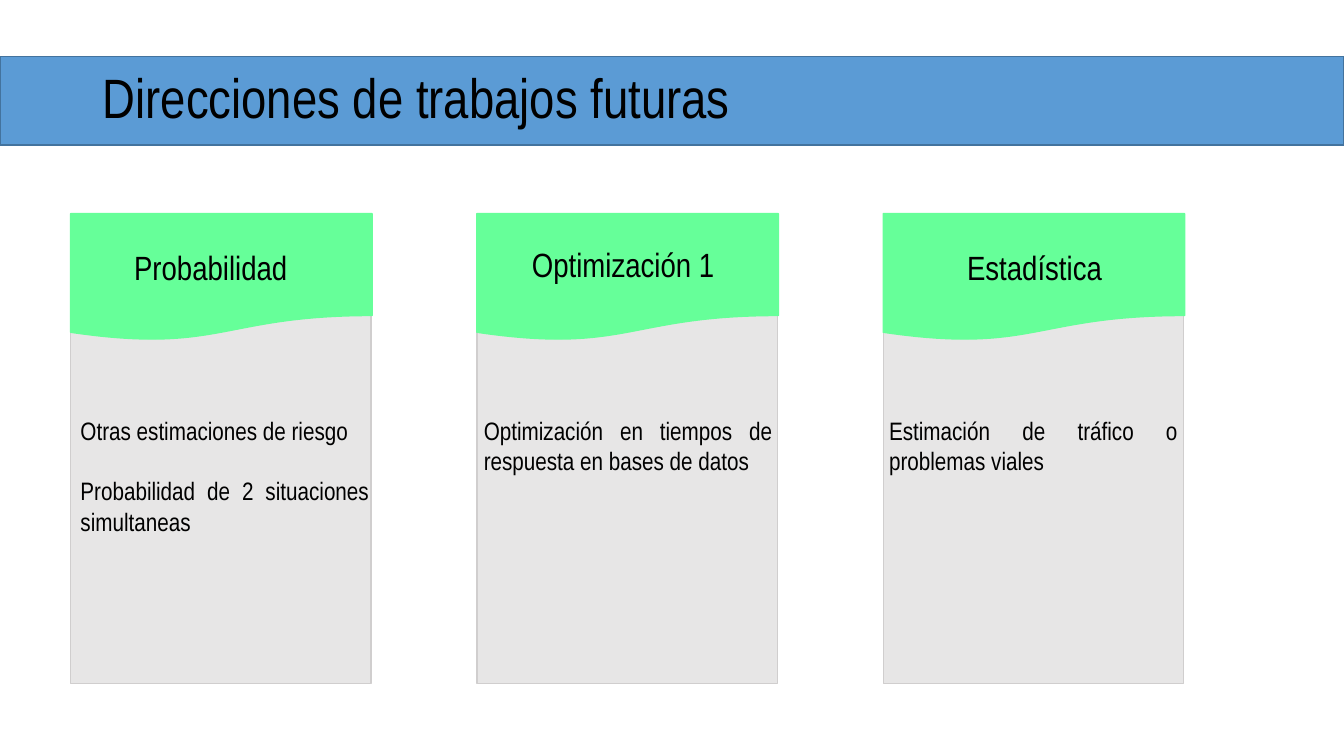
from pptx import Presentation
from pptx.dml.color import RGBColor
from pptx.enum.shapes import MSO_SHAPE
from pptx.enum.text import MSO_ANCHOR, MSO_AUTO_SIZE, PP_ALIGN
from pptx.util import Inches, Pt

RECT, WAVE = MSO_SHAPE.RECTANGLE, MSO_SHAPE.FLOWCHART_DOCUMENT
LEFT, CENTER, JUSTIFY = PP_ALIGN.LEFT, PP_ALIGN.CENTER, PP_ALIGN.JUSTIFY
MIDDLE = MSO_ANCHOR.MIDDLE
NO_FIT, GROW = MSO_AUTO_SIZE.NONE, MSO_AUTO_SIZE.SHAPE_TO_FIT_TEXT

FONT = "Arial Narrow"
BLACK = RGBColor(0x00, 0x00, 0x00)
BLUE = RGBColor(0x5B, 0x9B, 0xD5)
NAVY = RGBColor(0x43, 0x73, 0x9E)
GRAY = RGBColor(0xE7, 0xE6, 0xE6)
EDGE = RGBColor(0xD0, 0xCE, 0xCE)
GREEN = RGBColor(0x66, 0xFF, 0x99)


def add_block(shapes, kind, box, fill, line):
    block = shapes.add_shape(kind, *map(Inches, box))
    block.shadow.inherit = False
    block.fill.solid()
    block.fill.fore_color.rgb = fill
    block.line.color.rgb = line
    block.line.width = Pt(1)
    return block


def write(frame, lines, size, align, gap=0):
    """Fill a text frame with one paragraph per line, gap points apart."""
    frame.word_wrap = True
    for i, line in enumerate(lines):
        para = frame.add_paragraph() if i else frame.paragraphs[0]
        para.alignment = align
        if i:
            para.space_before = Pt(gap)
        run = para.add_run()
        run.text = line
        run.font.name = FONT
        run.font.size = Pt(size)
        run.font.color.rgb = BLACK


prs = Presentation()
prs.slide_width, prs.slide_height = Inches(13.33), Inches(7.5)
slide = prs.slides.add_slide(prs.slide_layouts[5])
shapes = slide.shapes

# Title on its band
band = add_block(shapes, RECT, (0, 0.56, 13.33, 0.88), BLUE, NAVY)
title = shapes.title
band.element.addnext(title.element)
title.left, title.top = Inches(0.92), Inches(0.66)
title.width, title.height = Inches(7.04), Inches(0.67)
title.text_frame.auto_size = NO_FIT
title.text_frame.vertical_anchor = MIDDLE
write(title.text_frame, ["Direcciones de trabajos futuras"], 39.6, LEFT)
title.text_frame.paragraphs[0].line_spacing = 0.9

# Cards: heading, heading left and top, body left and height, body lines
cards = [
    ("Probabilidad", 0.92, 2.4, 0.7, 1.31,
     ["Otras estimaciones de riesgo",
      "Probabilidad de 2 situaciones simultaneas"]),
    ("Optimización 1", 5.01, 2.37, 4.7, 0.71,
     ["Optimización en tiempos de respuesta en bases de datos"]),
    ("Estadística", 9.09, 2.4, 8.72, 0.71,
     ["Estimación de tráfico o problemas viales"]),
]
for i, (head, head_x, head_y, body_x, body_h, lines) in enumerate(cards):
    x = 0.7 + 4.03 * i
    card = shapes.add_group_shape()
    add_block(card.shapes, RECT, (x, 2.12, 2.98, 4.66), GRAY, EDGE)
    add_block(card.shapes, WAVE, (x, 2.12, 2.99, 1.26), GREEN, GREEN)

    label = shapes.add_textbox(Inches(head_x), Inches(head_y),
                               Inches(2.34), Inches(0.5))
    write(label.text_frame, [head], 24, CENTER)
    label.text_frame.auto_size = GROW

    body = shapes.add_textbox(Inches(body_x), Inches(4.07),
                              Inches(3.06), Inches(body_h))
    write(body.text_frame, lines, 18, JUSTIFY, gap=21.6)
    body.text_frame.auto_size = GROW

prs.save("out.pptx")
